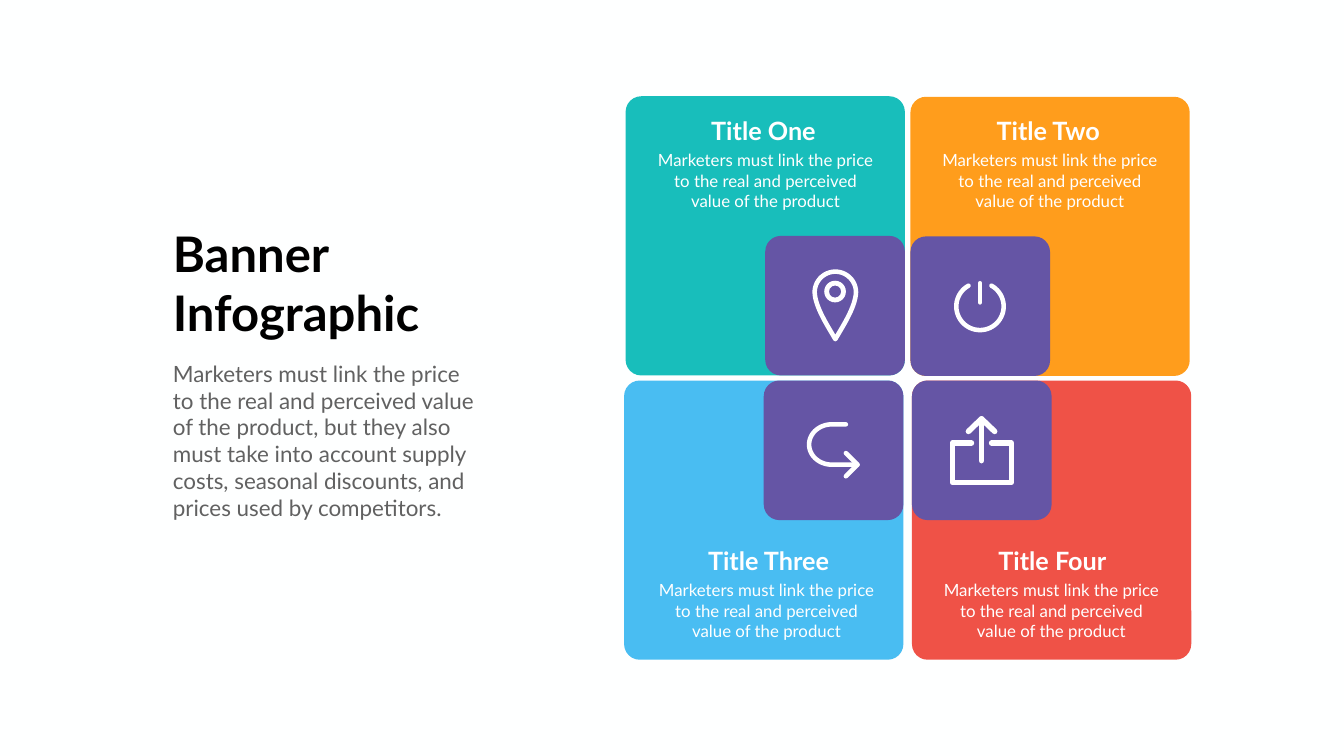
import math

from lxml import etree
from pptx import Presentation
from pptx.dml.color import RGBColor
from pptx.enum import shapes, text
from pptx.oxml.ns import qn
from pptx.util import Pt

PX = 9144  # EMU per px, 100 px to the inch
FONT = "Lato"
COLORS = {
    "background": "FEFFFF", "black": "000000", "gray": "616161", "white": "FFFFFF",
    "teal": "18BEBB", "orange": "FF9D1C", "blue": "49BDF2", "red": "EF5247",
    "purple": "6555A5",
}
CARD, TILE, RADIUS = 554, 277, 31
CARD_TEXT = "Marketers must link the price to the real and perceived value of the product"
INTRO = ("Marketers must link the price to the real and perceived value of the product, "
         "but they also must take into account supply costs, seasonal discounts, "
         "and prices used by competitors.")

# title, color, column, row, card left, card top, title left, title width, text left
CARDS = [
    ("Title One", "teal", 0, 0, 1241, 191, 1386, 257, 1292),
    ("Title Two", "orange", 1, 0, 1806, 192, 1951, 257, 1856),
    ("Title Three", "blue", 0, 1, 1238, 755, 1380, 289, 1294),
    ("Title Four", "red", 1, 1, 1809, 755, 1951, 273, 1859),
]
TITLE_TOPS = (224, 1077)  # by row
TEXT_OFFSET = 69


def rgb(name):
    return RGBColor.from_string(COLORS[name])


def emu(*lengths):
    return [round(length * PX) for length in lengths]


def add_filled(slide, kind, box, color, adjustment):
    shape = slide.shapes.add_shape(kind, *emu(*box))
    shape.adjustments[0] = adjustment
    shape.shadow.inherit = False
    shape.fill.solid()
    shape.fill.fore_color.rgb = rgb(color)
    shape.line.fill.background()


def add_square(slide, left, top, side, color):
    add_filled(slide, shapes.MSO_SHAPE.ROUNDED_RECTANGLE,
               (left, top, side, side), color, RADIUS / side)


def add_text(slide, box, lines, size, color, bold=False, align=text.PP_ALIGN.LEFT):
    frame = slide.shapes.add_textbox(*emu(*box)).text_frame
    frame.word_wrap = True
    frame.auto_size = text.MSO_AUTO_SIZE.SHAPE_TO_FIT_TEXT
    frame.text = "\n".join(lines)
    for paragraph in frame.paragraphs:
        paragraph.alignment = align
        paragraph.font.name = FONT
        paragraph.font.size = Pt(size)
        paragraph.font.bold = bold
        paragraph.font.color.rgb = rgb(color)


def round_line(line, width):
    line.color.rgb = rgb("white")
    line.width = width * PX
    outline = line._get_or_add_ln()
    outline.set("cap", "rnd")
    etree.SubElement(outline, qn("a:round"))


def add_stroke(slide, points, width, closed=False):
    vertices = [emu(*point) for point in points]
    builder = slide.shapes.build_freeform(*vertices[0])
    builder.add_line_segments(vertices[1:], close=closed)
    shape = builder.convert_to_shape()
    shape.shadow.inherit = False
    shape.fill.background()
    round_line(shape.line, width)


def add_bar(slide, x, top, bottom, width):
    bar = slide.shapes.add_connector(shapes.MSO_CONNECTOR.STRAIGHT, *emu(x, top, x, bottom))
    round_line(bar.line, width)
    etree.SubElement(bar._element.spPr, qn("a:effectLst"))


def arc(cx, cy, rx, ry, start, end, steps=48):
    """Points on an ellipse; degrees run clockwise from the right."""
    angles = [math.radians(start + (end - start) * i / steps) for i in range(steps + 1)]
    return [(cx + rx * math.cos(a), cy + ry * math.sin(a)) for a in angles]


def bezier(a, b, c, d, steps=16):
    def at(t):
        weights = ((1 - t) ** 3, 3 * t * (1 - t) ** 2, 3 * t * t * (1 - t), t ** 3)
        return tuple(sum(w * p[axis] for w, p in zip(weights, (a, b, c, d)))
                     for axis in (0, 1))
    return [at(i / steps) for i in range(steps + 1)]


def add_pin(slide):
    cx = 1657
    right = bezier((cx + 41, 580), (cx + 40, 610), (cx + 13, 650), (cx, 673))
    left = [(2 * cx - x, y) for x, y in reversed(right)]
    head = arc(cx, 580, 41, 41, 180, 360)
    add_stroke(slide, head + right[1:] + left[1:-1], 9, closed=True)
    add_filled(slide, shapes.MSO_SHAPE.DONUT, (1635, 557, 43, 43), "white", 0.22)


def add_power(slide):
    add_stroke(slide, arc(1944, 608, 47, 47, -61, 241), 9)
    add_bar(slide, 1944, 562, 600, 9)


def add_return_arrow(slide):
    bend = arc(1650, 882, 45, 40, 270, 90)
    add_stroke(slide, [(1678, 842), *bend, (1701, 922)], 9)
    add_stroke(slide, [(1678, 899), (1701, 922), (1678, 945)], 9)


def add_share(slide):
    add_stroke(slide, [(1927, 879), (1889, 879), (1889, 957),
                       (2006, 957), (2006, 879), (1967, 879)], 11)
    add_bar(slide, 1947, 831, 914, 11)
    add_stroke(slide, [(1921, 856), (1947, 831), (1973, 856)], 11)


def add_card(slide, title, color, column, row, left, top, title_left, title_width, text_left):
    add_square(slide, left, top, CARD, color)
    # The icon tile sits in the corner nearest the middle of the grid
    add_square(slide, left + TILE * (1 - column), top + TILE * (1 - row), TILE, "purple")
    title_top = TITLE_TOPS[row]
    center = text.PP_ALIGN.CENTER
    add_text(slide, (title_left, title_top, title_width, 71), [title], 36, "white", True, center)
    add_text(slide, (text_left, title_top + TEXT_OFFSET, 453, 131), [CARD_TEXT], 24, "white",
             align=center)


def main():
    deck = Presentation()
    deck.slide_width, deck.slide_height = emu(2666, 1500)
    slide = deck.slides.add_slide(deck.slide_layouts[6])
    slide.background.fill.solid()
    slide.background.fill.fore_color.rgb = rgb("background")

    # Heading and introduction
    add_text(slide, (333, 439, 522, 246), ["Banner", "Infographic"], 70, "black", True)
    add_text(slide, (333, 709, 628, 333), [INTRO], 32, "gray")

    # Four cards, then their icons
    for card in CARDS:
        add_card(slide, *card)
    for add_icon in (add_pin, add_power, add_return_arrow, add_share):
        add_icon(slide)

    deck.save("out.pptx")


if __name__ == "__main__":
    main()
